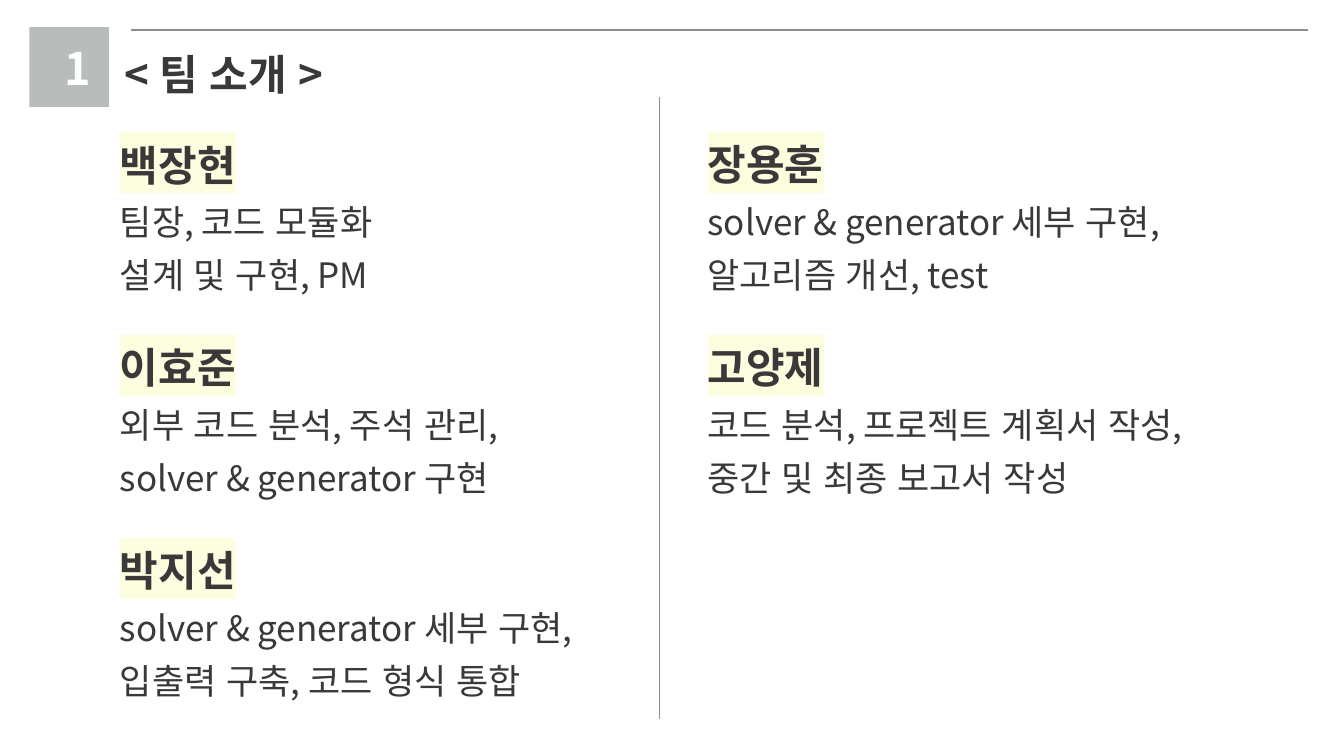
from lxml.etree import SubElement
from pptx import Presentation
from pptx.dml.color import RGBColor
from pptx.enum.lang import MSO_LANGUAGE_ID
from pptx.enum.shapes import MSO_CONNECTOR, MSO_SHAPE
from pptx.enum.text import PP_ALIGN, MSO_AUTO_SIZE
from pptx.oxml.ns import qn
from pptx.util import Inches, Pt

NUMBER = "1"
TITLE = "< 팀 소개 >"
# Each column: left, text indent, members with their roles
COLUMNS = [
    (0.91, 0.18, [
        ("백장현", ["팀장, 코드 모듈화", "설계 및 구현, PM"]),
        ("이효준", ["외부 코드 분석, 주석 관리,", "solver & generator 구현"]),
        ("박지선", ["solver & generator 세부 구현,", "입출력 구축, 코드 형식 통합"]),
    ]),
    (6.92, 0, [
        ("장용훈", ["solver & generator 세부 구현,", "알고리즘 개선, test"]),
        ("고양제", ["코드 분석, 프로젝트 계획서 작성,", "중간 및 최종 보고서 작성"]),
    ]),
]
# Each rule: start, end, line width
RULES = [((6.54, 0.96), (6.54, 7.13), 0.5), ((1.3, 0.3), (12.97, 0.3), 1.5)]

FONT = "Noto Sans CJK KR"
DARK = RGBColor(0x3A, 0x38, 0x38)
WHITE = RGBColor(0xFF, 0xFF, 0xFF)
GREY = RGBColor(0xB8, 0xBC, 0xBB)
RULE_GREY = RGBColor(0x89, 0x8F, 0x8D)
CREAM = RGBColor(0xFD, 0xFD, 0xDF)

COLUMN_TOP, COLUMN_WIDTH, MEMBER_HEIGHT = 1.33, 6.67, 1.95
SPACE_AFTER, MEMBER_GAP = 8, 25


def write(paragraph, text, size, color=DARK, bold=True, highlight=None,
          align=PP_ALIGN.LEFT):
    paragraph.alignment = align
    run = paragraph.add_run()
    run.text = text
    font = run.font
    font.size, font.bold = Pt(size), bold
    font.language_id = MSO_LANGUAGE_ID.KOREAN
    font.color.rgb = color
    properties = font._element
    if highlight is not None:
        mark = SubElement(properties, qn("a:highlight"))
        SubElement(mark, qn("a:srgbClr")).set("val", str(highlight))
    for tag in ("a:latin", "a:ea"):
        SubElement(properties, qn(tag)).set("typeface", FONT)


def add_text_frame(slide, left, top, width, height, wrap=True):
    box = slide.shapes.add_textbox(*map(Inches, (left, top, width, height)))
    frame = box.text_frame
    frame.word_wrap = wrap
    frame.auto_size = MSO_AUTO_SIZE.SHAPE_TO_FIT_TEXT
    return frame


def add_rule(slide, start, end, width):
    rule = slide.shapes.add_connector(
        MSO_CONNECTOR.STRAIGHT, *map(Inches, start + end))
    rule.line.color.rgb = RULE_GREY
    rule.line.width = Pt(width)
    SubElement(rule._element.spPr, qn("a:effectLst"))


def add_column(slide, left, indent, members):
    frame = add_text_frame(slide, left, COLUMN_TOP, COLUMN_WIDTH,
                           MEMBER_HEIGHT * len(members))
    frame.margin_left = Inches(0.1 + indent)
    lines = [(text, text == name) for name, roles in members
             for text in [name, *roles]]
    for index, (text, is_name) in enumerate(lines):
        paragraph = frame.add_paragraph() if index else frame.paragraphs[0]
        paragraph.space_after = Pt(SPACE_AFTER)
        if is_name and index:
            paragraph.space_before = Pt(MEMBER_GAP)
        write(paragraph, text, 30 if is_name else 25, bold=is_name,
              highlight=CREAM if is_name else None, align=PP_ALIGN.JUSTIFY)


def main():
    presentation = Presentation()
    presentation.slide_width = Inches(13.33)
    presentation.slide_height = Inches(7.5)
    slide = presentation.slides.add_slide(presentation.slide_layouts[6])

    for rule in RULES:
        add_rule(slide, *rule)

    square = slide.shapes.add_shape(
        MSO_SHAPE.RECTANGLE, *map(Inches, (0.29, 0.27, 0.79, 0.79)))
    square.shadow.inherit = False
    square.fill.solid()
    square.fill.fore_color.rgb = GREY
    square.line.fill.background()

    number = add_text_frame(slide, 0.54, 0.35, 0.28, 0.64)
    write(number.paragraphs[0], NUMBER, 32, color=WHITE, align=PP_ALIGN.CENTER)
    title = add_text_frame(slide, 1.14, 0.43, 2.37, 0.61, wrap=False)
    write(title.paragraphs[0], TITLE, 30)

    for column in COLUMNS:
        add_column(slide, *column)
    presentation.save("out.pptx")


if __name__ == "__main__":
    main()
